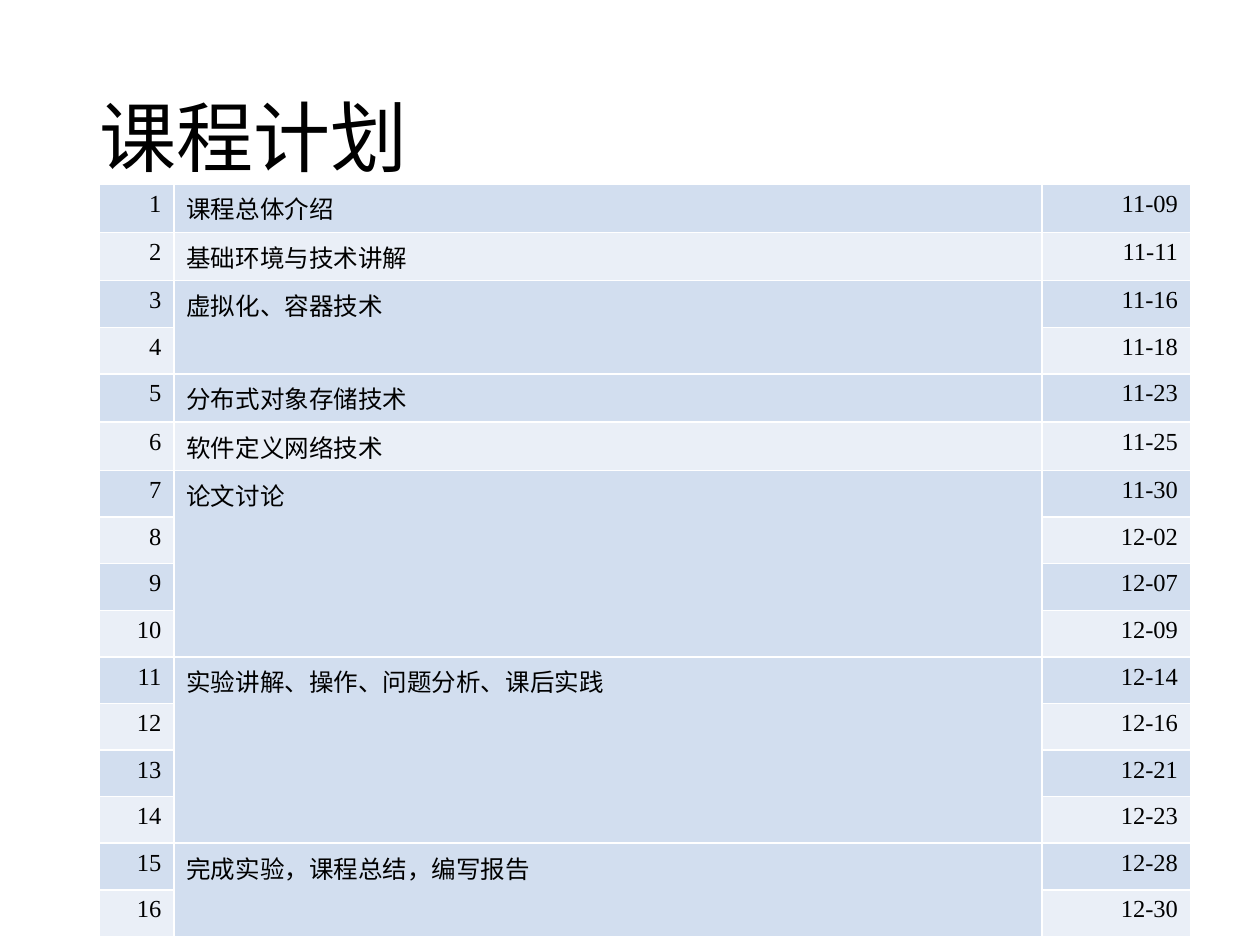
from pptx import Presentation
from pptx.dml.color import RGBColor
from pptx.enum.text import MSO_ANCHOR as Anchor, PP_ALIGN as Align
from pptx.util import Inches, Pt

TITLE = "课程计划"
# Topic and the dates of its sessions
PLAN = [
    ("课程总体介绍", ["11-09"]),
    ("基础环境与技术讲解", ["11-11"]),
    ("虚拟化、容器技术", ["11-16", "11-18"]),
    ("分布式对象存储技术", ["11-23"]),
    ("软件定义网络技术", ["11-25"]),
    ("论文讨论", ["11-30", "12-02", "12-07", "12-09"]),
    ("实验讲解、操作、问题分析、课后实践", ["12-14", "12-16", "12-21", "12-23"]),
    ("完成实验，课程总结，编写报告", ["12-28", "12-30"]),
]
WIDTHS = [0.59, 6.89, 1.18]
ROW_H = 0.37

FONT = "Times New Roman"
BLACK = RGBColor(0x00, 0x00, 0x00)
BANDS = [RGBColor(0xD2, 0xDE, 0xEF), RGBColor(0xEA, 0xEF, 0xF7)]


def write(frame, text, size=14, align=Align.LEFT, spacing=None):
    para = frame.paragraphs[0]
    para.alignment = align
    para.line_spacing = spacing
    run = para.add_run()
    run.text = text
    run.font.name = FONT
    run.font.size = Pt(size)
    run.font.color.rgb = BLACK


def add_title(slide):
    title = slide.shapes.title
    title.left, title.top = Inches(0.69), Inches(0.4)
    title.width, title.height = Inches(8.62), Inches(1.45)
    title.text_frame.vertical_anchor = Anchor.MIDDLE
    write(title.text_frame, TITLE, size=44, spacing=0.9)


def add_plan(slide):
    count = sum(len(dates) for _, dates in PLAN)
    table = slide.shapes.add_table(
        count, len(WIDTHS), Inches(0.79), Inches(1.46),
        Inches(sum(WIDTHS)), Inches(ROW_H * count)).table
    table.first_row = False
    for col, width in zip(table.columns, WIDTHS):
        col.width = Inches(width)
    for i, row in enumerate(table.rows):
        row.height = Inches(ROW_H)
        for cell in row.cells:
            cell.fill.solid()
            cell.fill.fore_color.rgb = BANDS[i % 2]

    top = 0
    for topic, dates in PLAN:
        head = table.cell(top, 1)
        write(head.text_frame, topic)
        if len(dates) > 1:
            head.merge(table.cell(top + len(dates) - 1, 1))
        for i, date in enumerate(dates, top):
            write(table.cell(i, 0).text_frame, str(i + 1), align=Align.RIGHT)
            write(table.cell(i, 2).text_frame, date, align=Align.RIGHT)
        top += len(dates)


def main():
    deck = Presentation()
    deck.slide_width, deck.slide_height = Inches(10), Inches(7.5)
    slide = deck.slides.add_slide(deck.slide_layouts[5])
    add_title(slide)
    add_plan(slide)
    deck.save("out.pptx")


if __name__ == "__main__":
    main()
